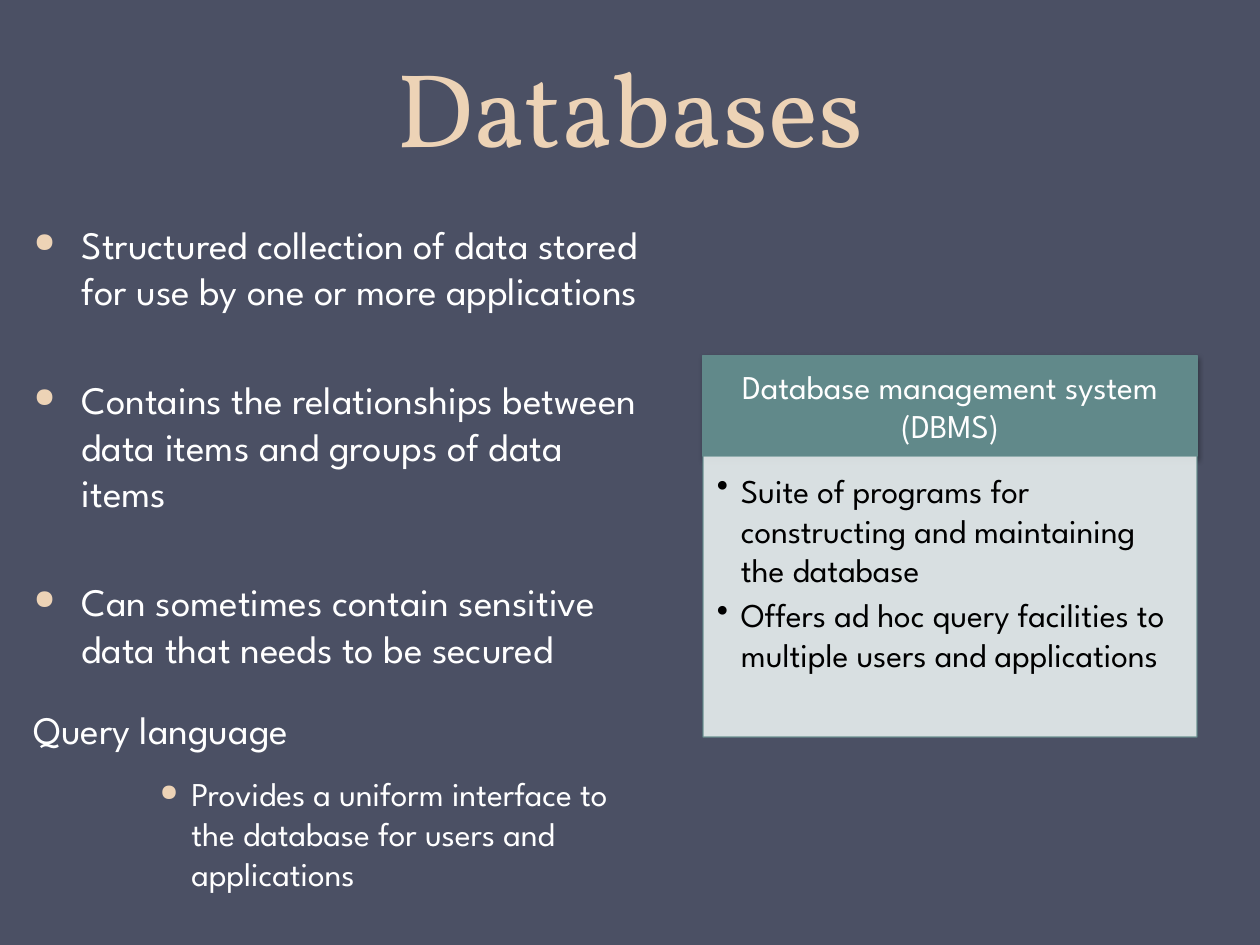
"""Build the Databases slide."""
from dataclasses import dataclass

import lxml.etree
import pptx
import pptx.dml.color
import pptx.enum.shapes
import pptx.enum.text
import pptx.oxml.ns
import pptx.util

Inches = pptx.util.Inches
Pt = pptx.util.Pt
RGB = pptx.dml.color.RGBColor
Align = pptx.enum.text.PP_ALIGN
Anchor = pptx.enum.text.MSO_ANCHOR

SLATE = RGB(0x4B, 0x50, 0x64)
SAND = RGB(0xED, 0xD3, 0xB6)
TEAL = RGB(0x61, 0x89, 0x8A)
MIST = RGB(0xE8, 0xEF, 0xEF)
WHITE = RGB(0xFF, 0xFF, 0xFF)
BLACK = RGB(0x00, 0x00, 0x00)
SANS = "League Spartan"
SERIF = "Vollkorn"


@dataclass
class Para:
    text: str
    size: float
    color: RGB = WHITE
    face: str = SANS
    align: Align = Align.LEFT
    level: int = 0
    left: float = 0
    hang: float = 0
    mark: str = ""
    tint: RGB | None = None
    scale: int = 100
    before: float = 0
    after: float = 0
    pitch: float | None = None


@dataclass
class Box:
    left: float
    top: float
    width: float
    height: float
    paras: list[Para]
    anchor: Anchor = Anchor.TOP
    pad: tuple[float, float, float, float] = (0.1, 0.05, 0.1, 0.05)

    def frame(self) -> list[int]:
        return [Inches(n) for n in (self.left, self.top, self.width, self.height)]


def add(parent, tag: str, **attrs):
    """Append a child element with the given attributes."""
    names = {key: str(val) for key, val in attrs.items()}
    return lxml.etree.SubElement(parent, pptx.oxml.ns.qn(tag), names)


def style(para, item: Para) -> None:
    """Write one paragraph with its indent, bullet, spacing and font."""
    para.text = item.text
    para.level = item.level
    para.alignment = item.align
    props = para._p.get_or_add_pPr()
    props.set("marL", str(Inches(item.left)))
    props.set("indent", str(Inches(-item.hang)))
    if item.mark:
        if item.tint is not None:
            add(add(props, "a:buClr"), "a:srgbClr", val=item.tint)
        add(props, "a:buSzPct", val=item.scale * 1000)
        add(props, "a:buChar", char=item.mark)
    else:
        add(props, "a:buNone")
    para.space_before = Pt(item.before)
    para.space_after = Pt(item.after)
    if item.pitch:
        para.line_spacing = Pt(item.pitch)
    para.font.size = Pt(item.size)
    para.font.name = item.face
    para.font.color.rgb = item.color


def write(shapes, box: Box) -> None:
    """Add a wrapped text box."""
    frame = shapes.add_textbox(*box.frame()).text_frame
    frame.word_wrap = True
    frame.vertical_anchor = box.anchor
    (frame.margin_left, frame.margin_top,
     frame.margin_right, frame.margin_bottom) = map(Inches, box.pad)
    for n, item in enumerate(box.paras):
        style(frame.add_paragraph() if n else frame.paragraphs[0], item)


def panel(shapes, box: Box, fill: RGB, alpha: int = 100, shade: bool = False) -> None:
    """Add a teal-edged rectangle and its text."""
    rect = shapes.add_shape(pptx.enum.shapes.MSO_SHAPE.RECTANGLE, *box.frame())
    rect.shadow.inherit = False
    rect.fill.solid()
    rect.fill.fore_color.rgb = fill
    rect.line.color.rgb = TEAL
    rect.line.width = Pt(0.75)
    props = rect._element.spPr
    if alpha < 100:
        for color in props.iter(pptx.oxml.ns.qn("a:srgbClr")):
            add(color, "a:alpha", val=alpha * 1000)
    if shade:
        glow = add(props.find(pptx.oxml.ns.qn("a:effectLst")), "a:outerShdw",
                   blurRad=Pt(3.1), dist=Pt(1.8), dir=90 * 60000, rotWithShape=0)
        add(add(glow, "a:srgbClr", val=BLACK), "a:alpha", val=35000)
    write(shapes, box)


def point(text: str, before: float = 35.5) -> Para:
    """Describe a main bullet."""
    return Para(text, 22.2, left=0.38, hang=0.38, mark="●", tint=SAND,
                scale=70, before=before)


def fact(text: str) -> Para:
    """Describe a bullet of the panel."""
    return Para(text, 19, BLACK, level=1, left=0.19, hang=0.19, mark="•", after=2.85)


TITLE = Box(0.5, 0, 9, 1.39, [
    Para("Databases", 60, SAND, SERIF, Align.CENTER, pitch=58),
], Anchor.BOTTOM)

BODY = Box(0.17, 1.7, 5.08, 5.51, [
    point("Structured collection of data stored for use by one or more applications", 0),
    point("Contains the relationships between data items and groups of data items"),
    point("Can sometimes contain sensitive data that needs to be secured"),
    Para("Query language", 22.2, level=2, left=0.38, hang=0.38, before=20, after=12),
    Para("Provides a uniform interface to the database for users and applications", 19,
         level=2, left=1.25, hang=0.25, mark="●", tint=SAND, scale=70),
])

HEAD = Box(5.58, 2.82, 3.92, 0.8, [
    Para("Database management system (DBMS)", 19, align=Align.CENTER),
], Anchor.MIDDLE, (0.15, 0.08, 0.15, 0.08))

FACTS = Box(5.58, 3.62, 3.92, 2.23, [
    fact("Suite of programs for constructing and maintaining the database"),
    fact("Offers ad hoc query facilities to multiple users and applications"),
], pad=(0.11, 0.11, 0.15, 0.17))


def main() -> None:
    """Draw the slide and save it."""
    deck = pptx.Presentation()
    deck.slide_width, deck.slide_height = Inches(10), Inches(7.5)
    slide = deck.slides.add_slide(deck.slide_layouts[6])
    slide.background.fill.solid()
    slide.background.fill.fore_color.rgb = SLATE
    write(slide.shapes, TITLE)
    write(slide.shapes, BODY)
    group = slide.shapes.add_group_shape()
    panel(group.shapes, HEAD, TEAL, shade=True)
    panel(group.shapes, FACTS, MIST, alpha=90)
    deck.save("out.pptx")


if __name__ == "__main__":
    main()
